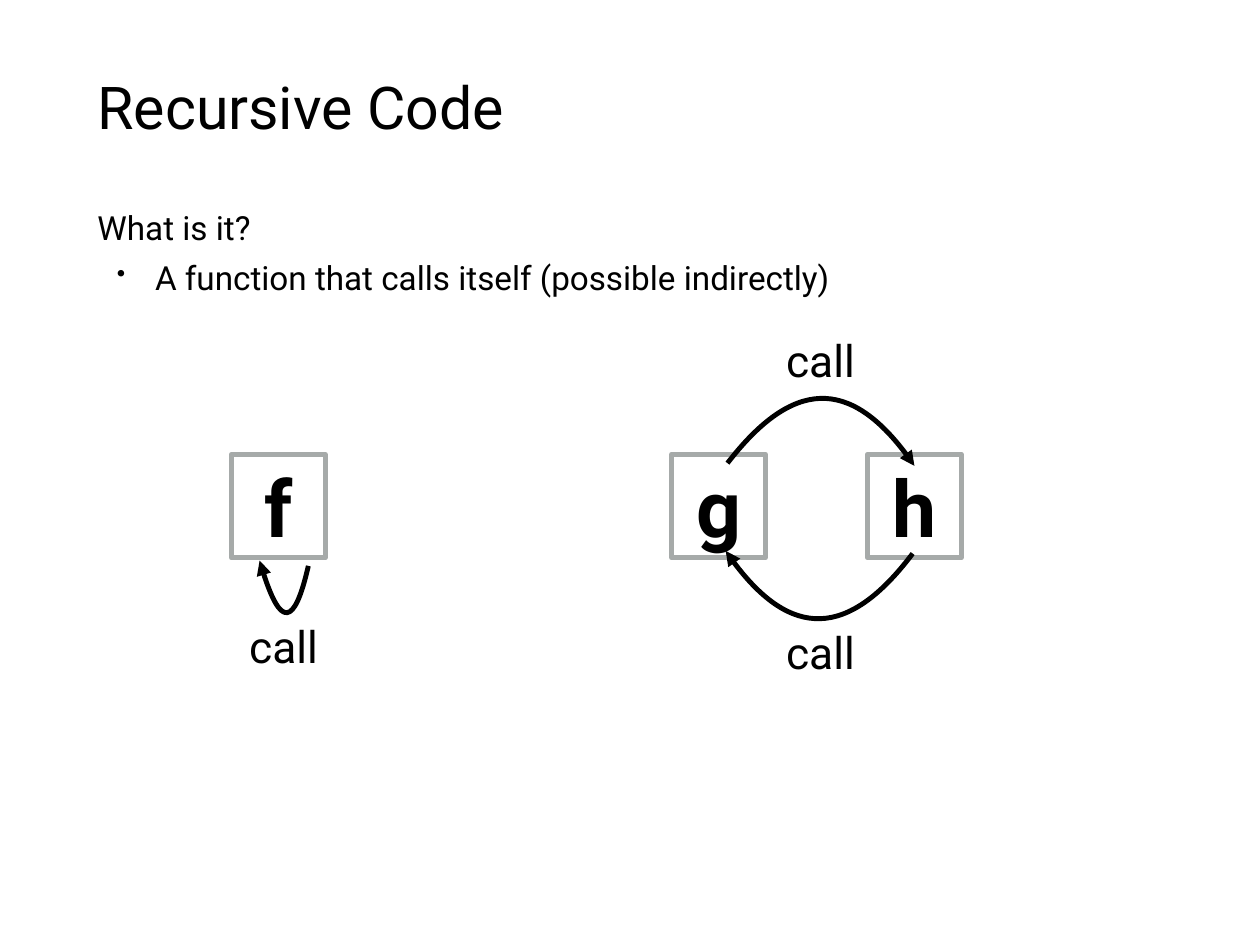
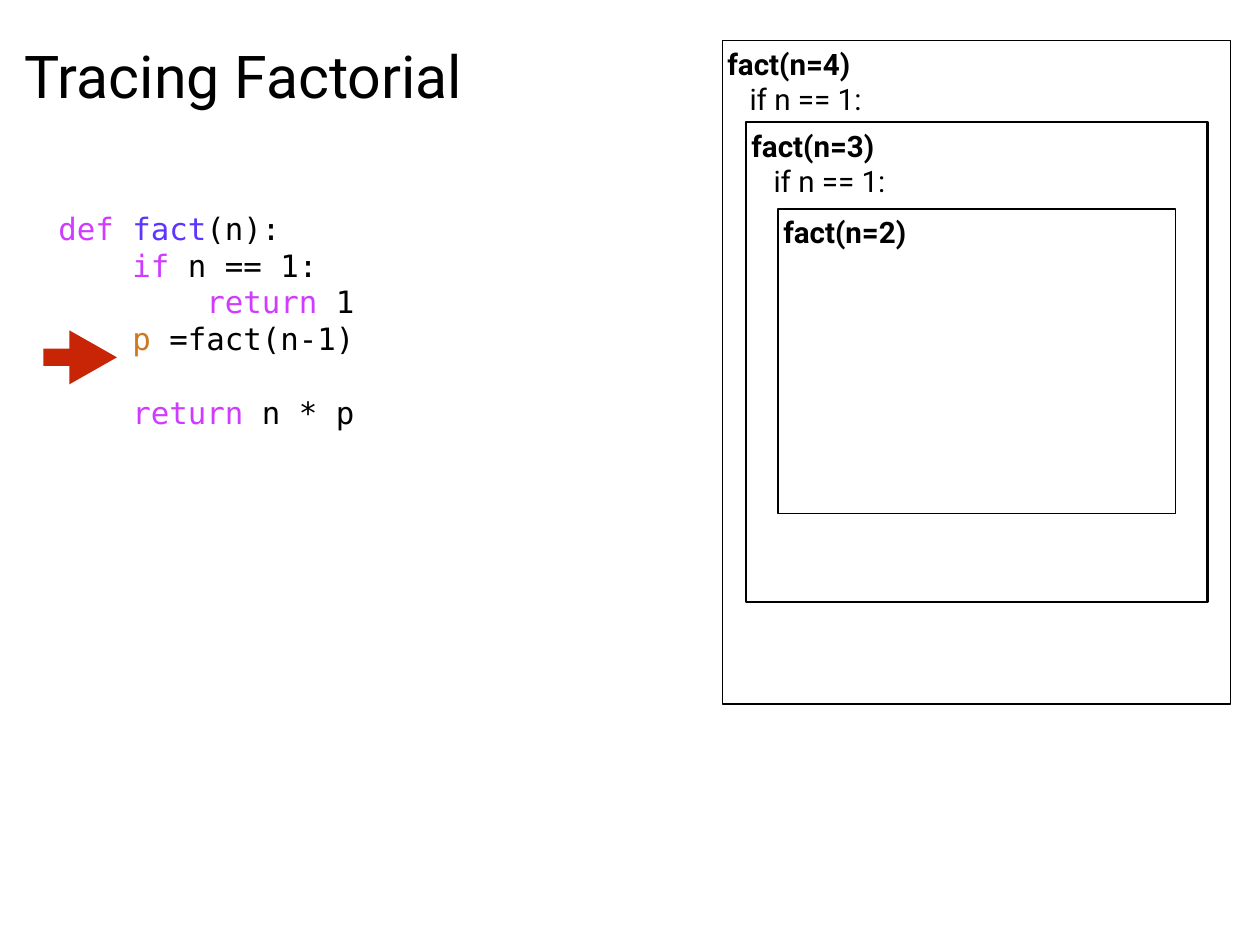
from lxml.etree import SubElement
from pptx import Presentation
from pptx.dml.color import RGBColor
from pptx.enum.shapes import MSO_SHAPE
from pptx.enum.text import MSO_ANCHOR, MSO_AUTO_SIZE, PP_ALIGN
from pptx.oxml.ns import qn
from pptx.util import Pt

PX = 9144  # EMU per px, 100 px to the inch
COLORS = {
    "text": "000000", "paper": "FFFFFF", "border": "A6AAA9", "marker": "C82506",
    "keyword": "D03CFF", "function": "5E34FF", "variable": "CD7923",
}


def color(name):
    return RGBColor.from_string(COLORS[name])


class Lecture:
    font, code_font = "Roboto", "DejaVu Sans Mono"
    inset = 6

    def __init__(self, width, height):
        self.deck = Presentation()
        self.deck.slide_width, self.deck.slide_height = width * PX, height * PX
        self.page = None

    def new_page(self):
        self.page = self.deck.slides.add_slide(self.deck.slide_layouts[6])

    def prepare(self, box, anchor, wrap=True):
        frame = box.text_frame
        frame.word_wrap, frame.vertical_anchor = wrap, anchor
        frame.margin_left = frame.margin_right = self.inset * PX
        frame.margin_top = frame.margin_bottom = self.inset * PX
        return frame

    def text_box(self, area, anchor=MSO_ANCHOR.MIDDLE, wrap=True):
        box = self.page.shapes.add_textbox(*(length * PX for length in area))
        return self.prepare(box, anchor, wrap)

    def line(self, frame, text, size, bold=False, align=PP_ALIGN.LEFT,
             margin=0, indent=0, before=0, bullet=None):
        """Write one paragraph, using the empty first one when it is free."""
        first = frame.paragraphs[0]
        para = frame.add_paragraph() if first.runs else first
        para.alignment = align
        if before:
            para.space_before = Pt(before)
        properties = para._p.get_or_add_pPr()
        properties.set("marL", str(margin * PX))
        properties.set("indent", str(indent * PX))
        if bullet:
            SubElement(properties, qn("a:buSzPct"), val="75000")
            SubElement(properties, qn("a:buChar"), char=bullet)
        para.font.name, para.font.size, para.font.bold = self.font, Pt(size), bold
        para.font.color.rgb = color("text")
        para.add_run().text = text

    def title(self, area, text):
        self.line(self.text_box(area), text, 48)

    def label(self, area, text):
        frame = self.text_box(area, wrap=False)
        frame.auto_size = MSO_AUTO_SIZE.SHAPE_TO_FIT_TEXT
        self.line(frame, text, 36, align=PP_ALIGN.CENTER)

    def shape(self, kind, area, fill=None, border=None, weight=1):
        shape = self.page.shapes.add_shape(kind, *(length * PX for length in area))
        shape.shadow.inherit = False
        if fill:
            shape.fill.solid()
            shape.fill.fore_color.rgb = color(fill)
        else:
            shape.fill.background()
        if border:
            shape.line.color.rgb, shape.line.width = color(border), Pt(weight)
        else:
            shape.line.fill.background()
        return shape

    def function_box(self, left, letter):
        box = self.shape(MSO_SHAPE.RECTANGLE, (left, 513, 106, 117), border="border", weight=4)
        frame = self.prepare(box, MSO_ANCHOR.MIDDLE, wrap=False)
        self.line(frame, letter, 64, bold=True, align=PP_ALIGN.CENTER)

    def call_frame(self, area, weight, call, *body):
        box = self.shape(MSO_SHAPE.RECTANGLE, area, "paper", "text", weight)
        frame = self.prepare(box, MSO_ANCHOR.TOP)
        self.line(frame, call, 24, bold=True)
        for text in body:
            self.line(frame, text, 24, indent=25)

    def curved_arrow(self, start, control_1, control_2, end):
        curve = (start, control_1, control_2, end)
        # The outline runs through the middle of the curve, which sets its extent
        middle = tuple(round((a + 3 * b + 3 * c + d) / 8) for a, b, c, d in zip(*curve))
        builder = self.page.shapes.build_freeform(*start, scale=PX)
        builder.add_line_segments([middle, end], close=False)
        arrow = builder.convert_to_shape()
        arrow.shadow.inherit = False
        arrow.fill.background()
        arrow.line.color.rgb, arrow.line.width = color("text"), Pt(4)
        SubElement(arrow.line._get_or_add_ln(), qn("a:tailEnd"), type="triangle")
        # Turn the straight segments into one Bézier segment
        outline = arrow._element.find(".//" + qn("a:path"))
        for segment in outline.findall(qn("a:lnTo")):
            outline.remove(segment)
        left, top = (min(values) for values in zip(start, middle, end))
        bezier = SubElement(outline, qn("a:cubicBezTo"))
        for x, y in curve[1:]:
            SubElement(bezier, qn("a:pt"), x=str(x - left), y=str(y - top))

    def code(self, area, lines, gap_after):
        frame = self.text_box(area)
        for number, spans in enumerate(lines):
            para = frame.add_paragraph() if number else frame.paragraphs[0]
            para.line_spacing = Pt(30)
            if number == gap_after:
                para.space_after = Pt(30)
            para.font.name, para.font.size = self.code_font, Pt(25)
            for text, name in spans:
                span = para.add_run()
                span.text = text
                span.font.color.rgb = color(name)


def recursive_code(lecture):
    lecture.new_page()
    lecture.title((104, 49, 1214, 141), "Recursive Code")
    body = lecture.text_box((104, 228, 1304, 152), MSO_ANCHOR.TOP)
    lecture.line(body, "What is it?", 27)
    lecture.line(body, "A function that calls itself (possible indirectly)", 27,
                 margin=65, indent=-43, before=8, bullet="•")
    # Functions and the calls between them
    for left, letter in ((261, "f"), (758, "g"), (979, "h")):
        lecture.function_box(left, letter)
    lecture.curved_arrow((821, 523), (895, 427), (965, 427), (1032, 526))
    lecture.curved_arrow((1030, 625), (957, 722), (886, 721), (819, 622))
    lecture.curved_arrow((348, 639), (332, 709), (314, 707), (293, 633))
    for left, top in ((881, 371), (881, 700), (275, 694)):
        lecture.label((left, top, 90, 71), "call")


def tracing_factorial(lecture):
    lecture.new_page()
    lecture.title((22, 14, 648, 141), "Tracing Factorial")
    lecture.code((60, 255, 684, 213), [
        [("def ", "keyword"), ("fact", "function"), ("(n):", "text")],
        [("    ", "text"), ("if", "keyword"), (" n == 1:", "text")],
        [("        ", "text"), ("return", "keyword"), (" 1", "text")],
        [("    ", "text"), ("p", "variable"), (" =fact(n-1)", "text")],
        [("    ", "text"), ("return", "keyword"), (" n * p", "text")],
    ], gap_after=3)
    # Nested call frames
    lecture.call_frame((815, 46, 574, 749), 1, "fact(n=4)", "if n == 1:")
    lecture.call_frame((842, 138, 521, 542), 2, "fact(n=3)", "if n == 1:")
    lecture.call_frame((878, 236, 449, 344), 1, "fact(n=2)")
    # Current line marker
    marker = lecture.shape(MSO_SHAPE.RIGHT_ARROW, (49, 373, 83, 61), fill="marker")
    marker.adjustments[0], marker.adjustments[1] = 0.32, 0.88


def main():
    lecture = Lecture(1422, 1067)
    recursive_code(lecture)
    tracing_factorial(lecture)
    lecture.deck.save("out.pptx")


if __name__ == "__main__":
    main()
